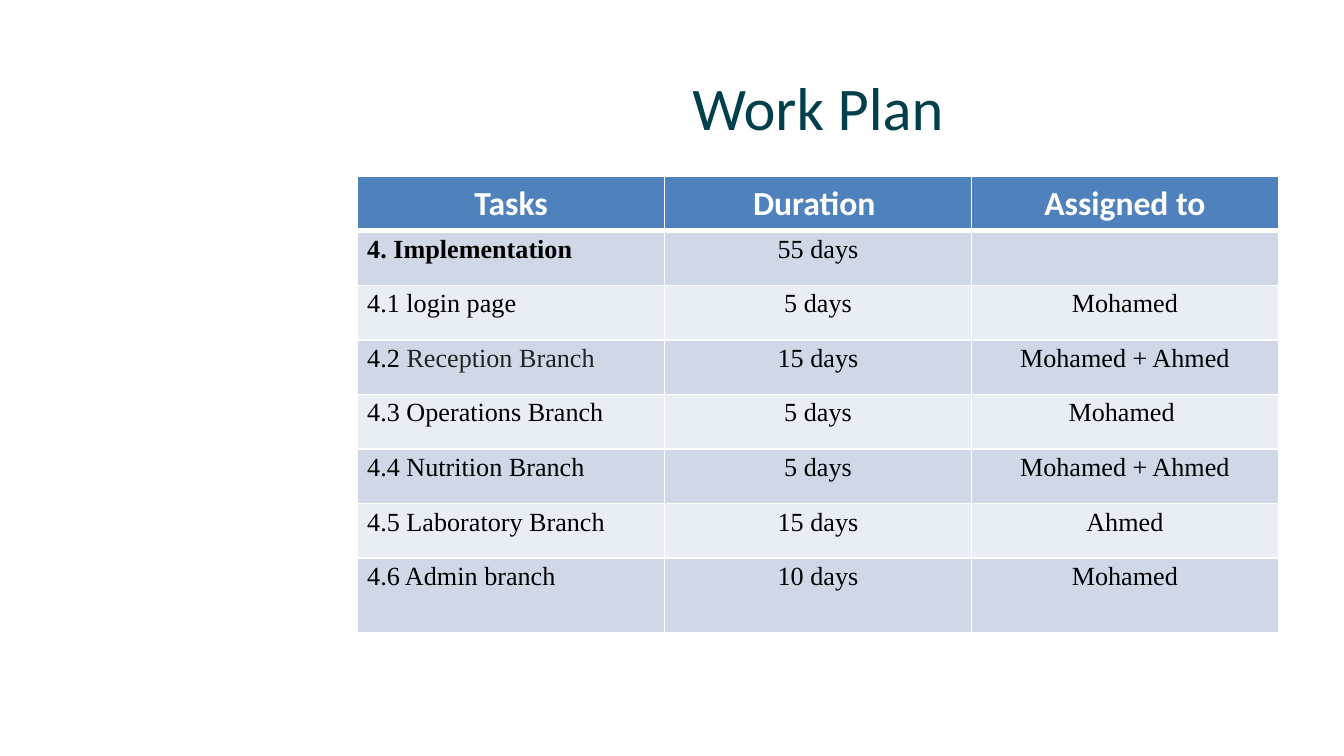
from lxml import etree
from pptx import Presentation
from pptx.dml.color import RGBColor
from pptx.enum.text import MSO_ANCHOR, PP_ALIGN
from pptx.oxml.ns import qn
from pptx.util import Cm, Pt

LEFT = PP_ALIGN.LEFT
CENTER = PP_ALIGN.CENTER
MIDDLE = MSO_ANCHOR.MIDDLE

TEAL = RGBColor(0x00, 0x3F, 0x4C)
BLUE = RGBColor(0x4F, 0x81, 0xBD)
BAND_DARK = RGBColor(0xD0, 0xD8, 0xE8)
BAND_LIGHT = RGBColor(0xE9, 0xED, 0xF4)
WHITE = RGBColor(0xFF, 0xFF, 0xFF)
BLACK = RGBColor(0x00, 0x00, 0x00)
CHARCOAL = RGBColor(0x22, 0x22, 0x22)

HEADERS = ["Tasks", "Duration ", "Assigned to"]
TASKS = [
    (["4. Implementation"], "55 days", ""),
    (["4.1 login page"], "5 days", "Mohamed"),
    (["4.2 ", "Reception Branch"], "15 days", "Mohamed + Ahmed"),
    (["4.3 Operations Branch"], "5 days", "Mohamed "),
    (["4.4 Nutrition Branch"], "5 days", "Mohamed + Ahmed"),
    (["4.5 Laboratory Branch"], "15 days", "Ahmed"),
    (["4.6 Admin branch"], "10 days", "Mohamed"),
]


def style_run(run, font, size, color, bold=False):
    run.font.name = font
    run.font.size = Pt(size)
    run.font.color.rgb = color
    run.font.bold = bold


def style_cell(cell, fill, top, bottom):
    properties = cell._tc.get_or_add_tcPr()
    for side, width in (("L", 1), ("R", 1), ("T", top), ("B", bottom)):
        line = etree.SubElement(properties, qn(f"a:ln{side}"), w=str(Pt(width)))
        solid = etree.SubElement(line, qn("a:solidFill"))
        etree.SubElement(solid, qn("a:srgbClr"), val=str(WHITE))
    cell.fill.solid()
    cell.fill.fore_color.rgb = fill


prs = Presentation()
prs.slide_width = Cm(25.4)
prs.slide_height = Cm(14.28)
slide = prs.slides.add_slide(prs.slide_layouts[6])

title = slide.shapes.add_textbox(Cm(6.76), Cm(1.2), Cm(17.4), Cm(1.6)).text_frame
title.word_wrap = True
title.vertical_anchor = MIDDLE
title.text = "Work Plan"
title.paragraphs[0].alignment = CENTER
style_run(title.paragraphs[0].runs[0], "Calibri", 32.4, TEAL)

plan = slide.shapes.add_table(
    len(TASKS) + 1, len(HEADERS), Cm(6.76), Cm(3.33), Cm(17.4), Cm(8.62)
).table
for column in plan.columns:
    column.width = Cm(5.8)
for row in plan.rows:
    row.height = Cm(1.03)
plan.rows[len(TASKS)].height = Cm(1.41)

for col, heading in enumerate(HEADERS):
    cell = plan.cell(0, col)
    style_cell(cell, BLUE, 1, 3)
    cell.text_frame.text = heading
    paragraph = cell.text_frame.paragraphs[0]
    paragraph.alignment = CENTER
    style_run(paragraph.runs[0], "Calibri", 18, WHITE, True)

for row, (task, duration, assignee) in enumerate(TASKS, 1):
    band = BAND_DARK if row % 2 else BAND_LIGHT
    for col, parts in enumerate((task, [duration], [assignee])):
        cell = plan.cell(row, col)
        style_cell(cell, band, 3 if row == 1 else 1, 1)
        cell.margin_left = cell.margin_right = Cm(0.18)
        cell.margin_top = cell.margin_bottom = 0
        paragraph = cell.text_frame.paragraphs[0]
        paragraph.alignment = CENTER if col else LEFT
        paragraph.line_spacing = 1.15
        paragraph.space_after = Pt(10)
        for index, part in enumerate(filter(None, parts)):
            run = paragraph.add_run()
            run.text = part
            color = CHARCOAL if index else BLACK
            style_run(run, "Times New Roman", 14, color, row == 1 and col == 0)

prs.save("out.pptx")
